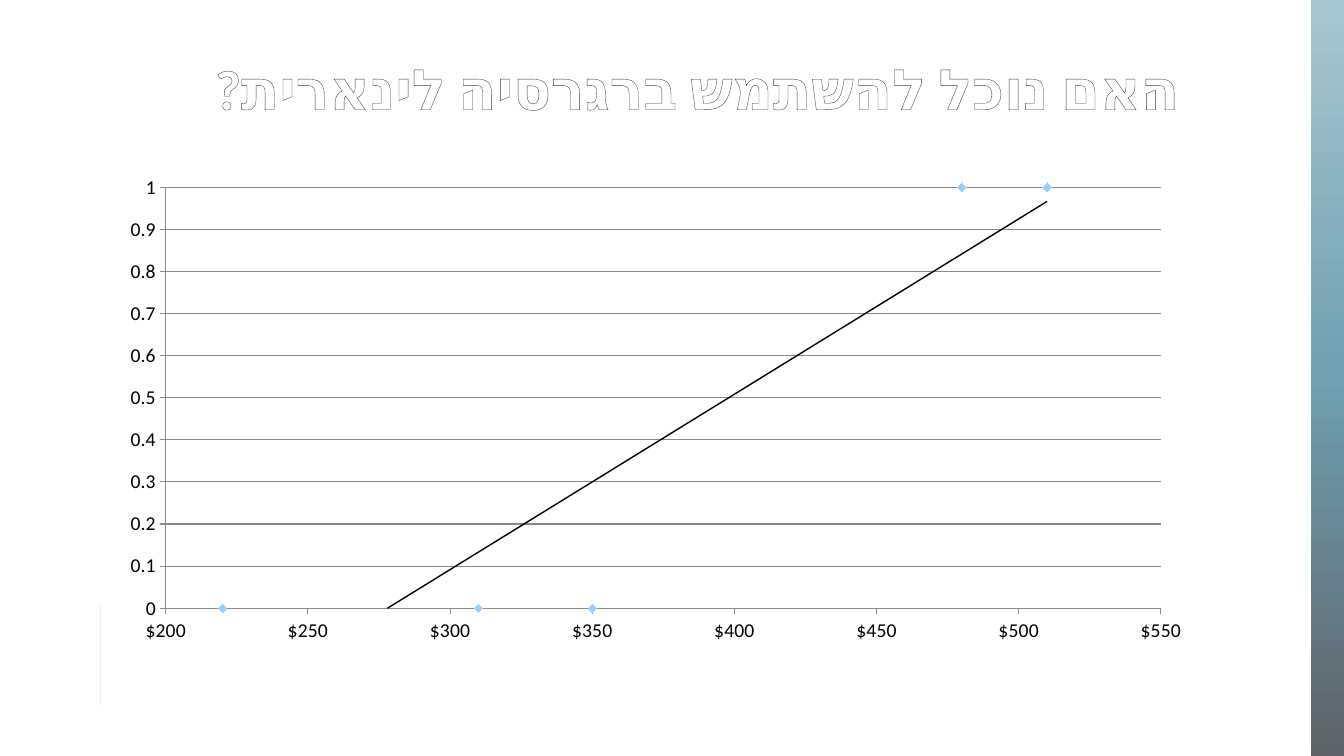
from lxml.etree import SubElement
from pptx import Presentation
from pptx.chart.data import XyChartData
from pptx.dml.color import RGBColor
from pptx.enum.chart import XL_CHART_TYPE, XL_MARKER_STYLE, XL_TICK_MARK
from pptx.enum.shapes import MSO_SHAPE
from pptx.enum.text import MSO_ANCHOR, MSO_AUTO_SIZE, PP_ALIGN
from pptx.oxml import parse_xml
from pptx.oxml.ns import nsdecls, qn
from pptx.util import Inches, Pt

TITLE = "האם נוכל להשתמש ברגרסיה לינארית?"
POINTS = [(480, 1), (220, 0), (310, 0), (350, 0), (510, 1)]
PRICE_AXIS = dict(low=200, high=550, step=50, number_format='"$"#,##0')
OUTCOME_AXIS = dict(low=0, high=1, step=0.1, number_format="General")

FONT = "Calibri"
BLACK = RGBColor(0, 0, 0)
WHITE = RGBColor(0xFF, 0xFF, 0xFF)
OUTLINE = RGBColor(0x3B, 0x3B, 0x3B)
GRAY = RGBColor(0x89, 0x89, 0x89)
MARKER = RGBColor(0x99, 0xCC, 0xFF)
BAND_STOPS = [(0, RGBColor(0xA8, 0xC6, 0xD0)),
              (50, RGBColor(0x6E, 0xA0, 0xB0)),
              (100, RGBColor(0x5E, 0x63, 0x6A))]

SLIDE_W, SLIDE_H = 13.33, 7.5
BAND_W = 0.33
TITLE_BOX = (1.24, 0, 10.56, 1.25)
CHART_BOX = (1.09, 1.64, 10.87, 4.83)
PLOT_SHARES = dict(x=0.051, y=0.045, w=0.908, h=0.865)
CHEVRON_BOX = (0.67, 6.25, 0.36, 0.47)
CHEVRON_ARM = 0.15


def inches(box):
    return [Inches(length) for length in box]


def add_band(slide):
    band = slide.shapes.add_shape(
        MSO_SHAPE.RECTANGLE, *inches((SLIDE_W - BAND_W, 0, BAND_W, SLIDE_H)))
    band.shadow.inherit = False
    band.line.fill.background()
    band.fill.gradient()
    band.fill.gradient_angle = 270
    stop_list = band.fill._fill._gradFill.find(qn("a:gsLst"))
    for old_stop in list(stop_list):
        stop_list.remove(old_stop)
    for percent, color in BAND_STOPS:
        stop = SubElement(stop_list, qn("a:gs"), pos=str(percent * 1000))
        SubElement(stop, qn("a:srgbClr"), val=str(color))


def add_chevron(slide):
    left, top, width, height = CHEVRON_BOX
    right, bottom, middle = left + width, top + height, top + height / 2
    outline = [(right - CHEVRON_ARM, top), (right, top),
               (left + CHEVRON_ARM, middle), (right, bottom),
               (right - CHEVRON_ARM, bottom), (left, middle)]
    builder = slide.shapes.build_freeform(*outline[0], scale=Inches(1))
    builder.add_line_segments(outline[1:], close=True)
    chevron = builder.convert_to_shape()
    chevron.shadow.inherit = False
    chevron.fill.solid()
    chevron.fill.fore_color.rgb = GRAY
    chevron.line.fill.background()


def fill_title(title):
    title.left, title.top, title.width, title.height = inches(TITLE_BOX)
    frame = title.text_frame
    frame.word_wrap = True
    frame.auto_size = MSO_AUTO_SIZE.NONE
    frame.vertical_anchor = MSO_ANCHOR.BOTTOM
    paragraph = frame.paragraphs[0]
    paragraph.alignment = PP_ALIGN.RIGHT
    paragraph._p.get_or_add_pPr().set("rtl", "1")
    run = paragraph.add_run()
    run.text = TITLE
    run.font.size = Pt(40)
    run.font.bold = True
    run.font.name = FONT
    run.font.color.rgb = WHITE
    properties = run._r.get_or_add_rPr()
    properties.set("lang", "he-IL")
    SubElement(properties, qn("a:cs"), typeface=FONT)
    properties.insert(0, parse_xml(
        f'<a:ln {nsdecls("a")} w="12700"><a:solidFill>'
        f'<a:srgbClr val="{OUTLINE}"/></a:solidFill></a:ln>'))


def format_axis(axis, low, high, step, number_format):
    axis.minimum_scale, axis.maximum_scale, axis.major_unit = low, high, step
    axis.major_tick_mark = XL_TICK_MARK.OUTSIDE
    axis.minor_tick_mark = XL_TICK_MARK.NONE
    axis.format.line.color.rgb = GRAY
    axis.format.line.width = Pt(0.75)
    labels = axis.tick_labels
    labels.number_format = number_format
    labels.number_format_is_linked = False
    labels.font.size = Pt(14)
    labels.font.name = FONT
    labels.font.color.rgb = BLACK


def add_trend_line(series):
    series._element.find(qn("c:xVal")).addprevious(parse_xml(
        f'<c:trendline {nsdecls("c", "a")}><c:spPr><a:ln w="12700"><a:solidFill>'
        f'<a:srgbClr val="{BLACK}"/></a:solidFill></a:ln></c:spPr>'
        '<c:trendlineType val="linear"/><c:dispRSqr val="0"/>'
        '<c:dispEq val="0"/></c:trendline>'))


def place_plot(chart):
    plot_area = chart._chartSpace.chart.plotArea
    for old_layout in plot_area.findall(qn("c:layout")):
        plot_area.remove(old_layout)
    shares = "".join(f'<c:{side} val="{share}"/>' for side, share in PLOT_SHARES.items())
    plot_area.insert(0, parse_xml(
        f'<c:layout {nsdecls("c")}><c:manualLayout><c:layoutTarget val="inner"/>'
        f'<c:xMode val="edge"/><c:yMode val="edge"/>{shares}'
        '</c:manualLayout></c:layout>'))


def add_scatter(slide):
    chart_data = XyChartData()
    outcomes = chart_data.add_series("Series 1")
    for price, outcome in POINTS:
        outcomes.add_data_point(price, outcome)
    chart = slide.shapes.add_chart(
        XL_CHART_TYPE.XY_SCATTER, *inches(CHART_BOX), chart_data).chart
    chart.has_legend = False
    chart.has_title = False
    chart.font.size = Pt(10)
    chart.font.name = FONT
    chart.font.color.rgb = BLACK
    chart.plots[0].vary_by_categories = False
    format_axis(chart.category_axis, **PRICE_AXIS)
    format_axis(chart.value_axis, **OUTCOME_AXIS)
    chart.category_axis.has_major_gridlines = False
    chart.value_axis.has_major_gridlines = True
    grid = chart.value_axis.major_gridlines.format.line
    grid.color.rgb = GRAY
    grid.width = Pt(0.75)

    series = chart.plots[0].series[0]
    series.format.line.fill.background()
    series.marker.style = XL_MARKER_STYLE.DIAMOND
    series.marker.size = 6
    series.marker.format.fill.solid()
    series.marker.format.fill.fore_color.rgb = MARKER
    series.marker.format.line.fill.background()
    add_trend_line(series)
    place_plot(chart)


def main():
    deck = Presentation()
    deck.slide_width, deck.slide_height = Inches(SLIDE_W), Inches(SLIDE_H)
    slide = deck.slides.add_slide(deck.slide_layouts[5])
    add_band(slide)
    add_chevron(slide)
    fill_title(slide.shapes.title)
    add_scatter(slide)
    deck.save("out.pptx")


if __name__ == "__main__":
    main()
